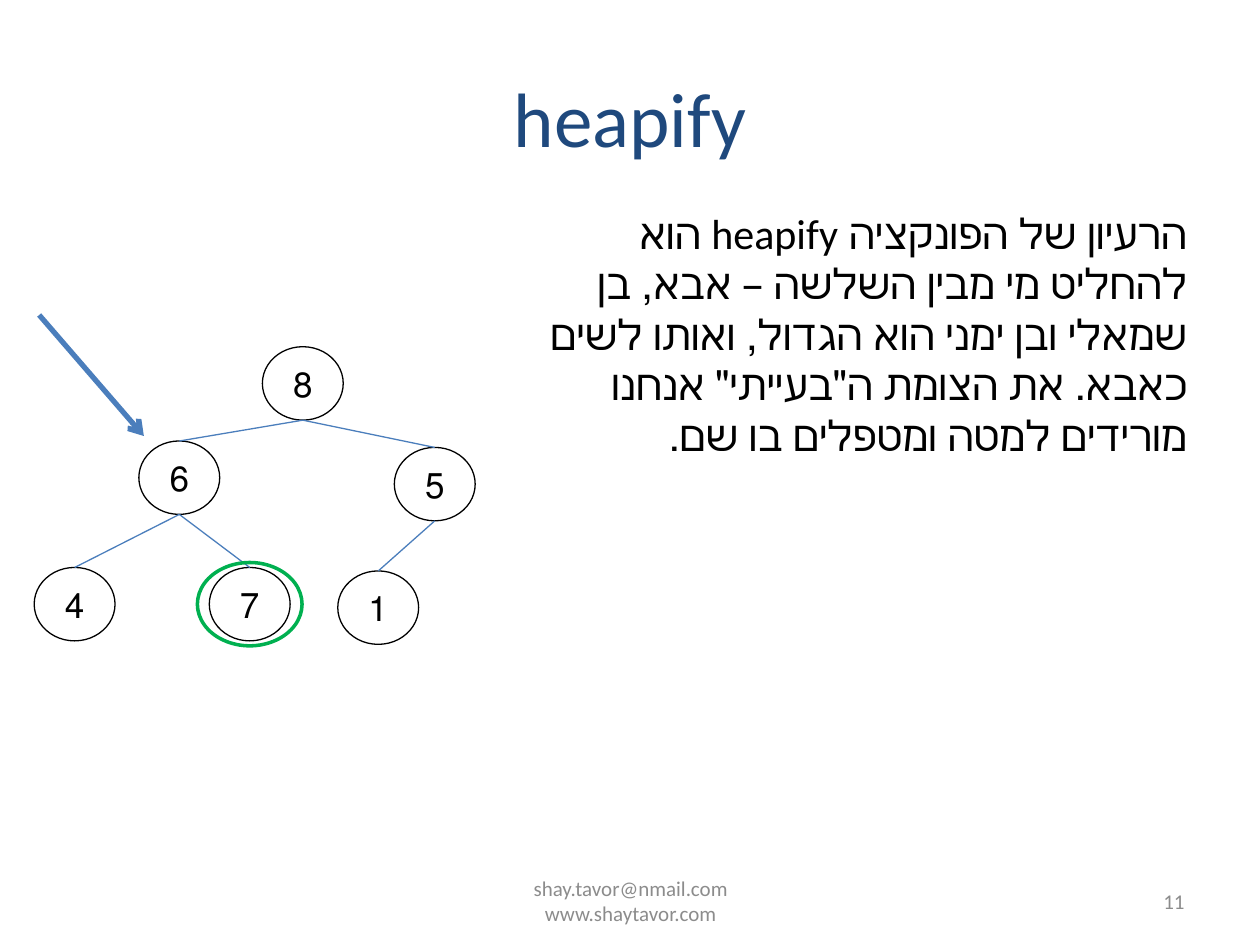
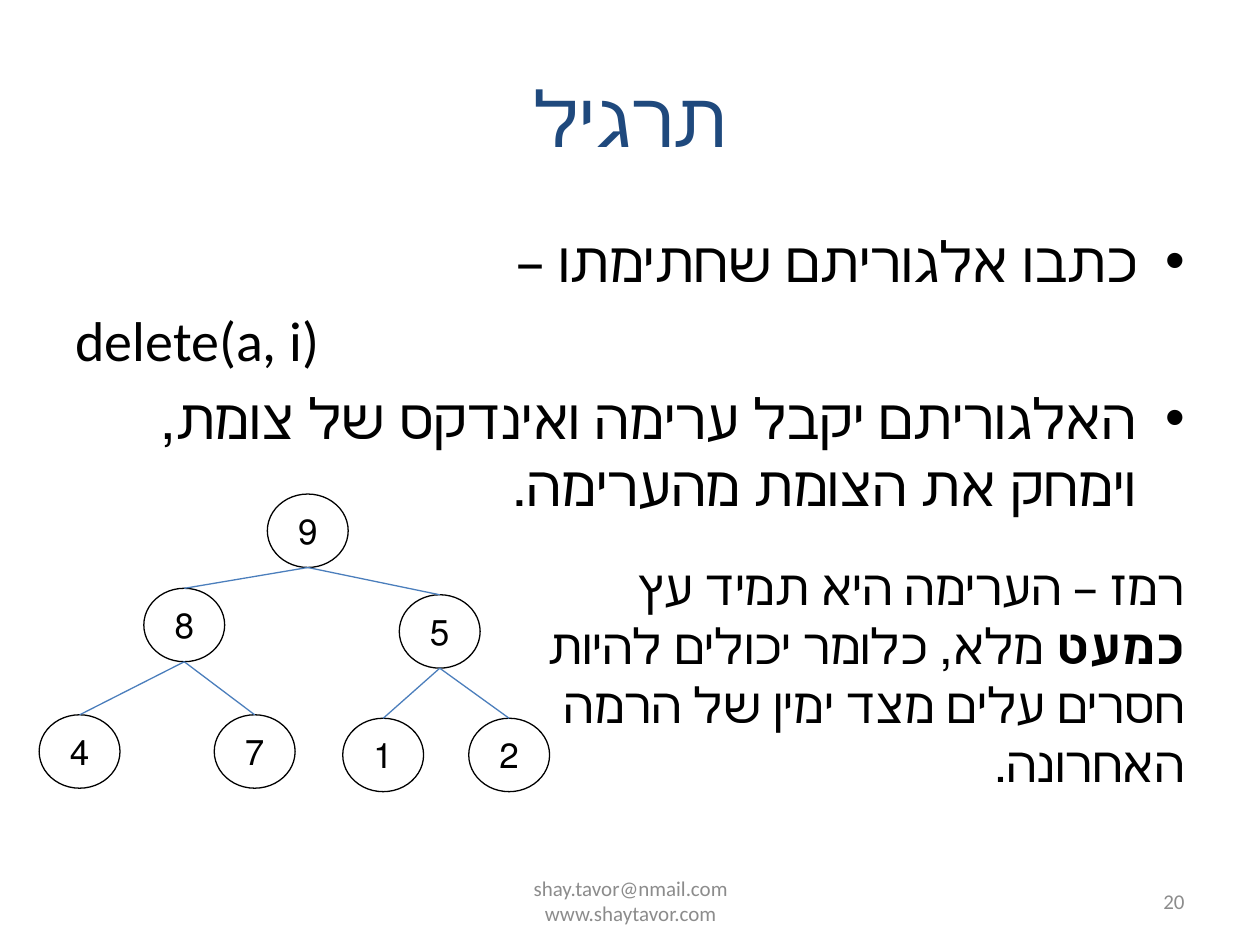
from lxml import etree
from pptx import Presentation
from pptx.dml.color import RGBColor
from pptx.enum.shapes import MSO_CONNECTOR, MSO_SHAPE
from pptx.enum.text import MSO_ANCHOR, MSO_AUTO_SIZE, PP_ALIGN
from pptx.oxml.ns import qn
from pptx.util import Cm, Pt

OVAL, STRAIGHT = MSO_SHAPE.OVAL, MSO_CONNECTOR.STRAIGHT
TOP, MIDDLE = MSO_ANCHOR.TOP, MSO_ANCHOR.MIDDLE
LEFT, CENTER, RIGHT = PP_ALIGN.LEFT, PP_ALIGN.CENTER, PP_ALIGN.RIGHT
GROW = MSO_AUTO_SIZE.SHAPE_TO_FIT_TEXT

COLORS = {"title": "1F497D", "text": "000000", "footer": "8C8C8C",
          "node": "FFFFFF", "edge": "4B7EBC", "ring": "00B050"}
FONT, NODE_FONT = "Calibri", "Arial"

# Content; a paragraph is a list of (text, bold) pieces
CONTACT = [[("shay.tavor@nmail.com", False)], [("www.shaytavor.com", False)]]
HEAPIFY = {
    "title": "heapify", "number": "11", "heap": [8, 6, 5, 4, 7, 1],
    "idea": [[("הרעיון של הפונקציה heapify הוא להחליט מי מבין השלשה – אבא, "
               "בן שמאלי ובן ימני הוא הגדול, ואותו לשים כאבא. את הצומת "
               "ה\"בעייתי\" אנחנו מורידים למטה ומטפלים בו שם.", False)]],
}
EXERCISE = {
    "title": "תרגיל", "number": "20", "heap": [9, 8, 5, 4, 7, 1, 2],
    "task": [[("כתבו אלגוריתם שחתימתו – ", False)],
             [("delete(a, i)", False)],
             [("האלגוריתם יקבל ערימה ואינדקס של צומת, "
               "וימחק את הצומת מהערימה.", False)]],
    "hint": [[("רמז – הערימה היא תמיד עץ ", False), ("כמעט", True),
              (" מלא, כלומר יכולים להיות חסרים עלים מצד ימין של "
               "הרמה האחרונה.", False)]],
}
LARGEST_CHILD = 4  # heap index that heapify picks

# Geometry in centimetres: left, top, width, height
TITLE_BOX = (1.27, 0.76, 22.86, 3.18)
CONTACT_BOX = (8.69, 17.65, 8.05, 1.02)
NUMBER_BOX = (18.21, 17.65, 5.92, 1.02)
IDEA_BOX = (9.88, 4.06, 14.3, 5.38)
TASK_BOX = (1.27, 4.45, 22.86, 6.83)
HINT_BOX = (10.16, 11.1, 13.97, 3.84)
HEAPIFY_TREE, EXERCISE_TREE = (0.69, 6.99), (0.79, 9.96)
POINTER = ((0.79, 6.35), (2.9, 8.79))
NODE_WIDTH, NODE_HEIGHT = 1.63, 1.48
RING_WIDTH, RING_HEIGHT = 2.11, 1.68
# Node offsets from the tree's corner, in heap order
NODE_OFFSETS = [(4.6, 0), (2.11, 1.9), (7.26, 2.03), (0, 4.45),
                (3.53, 4.45), (6.12, 4.52), (8.66, 4.52)]
BULLET_INDENT = 0.95


def color(name):
    """Return the named colour."""
    return RGBColor.from_string(COLORS[name])


def format_runs(paragraph, size, color_name, font=FONT):
    """Give every run of the paragraph one font, size and colour."""
    for run in paragraph.runs:
        run.font.name, run.font.size = font, Pt(size)
        run.font.color.rgb = color(color_name)


def set_rtl(paragraph):
    """Make the paragraph read from right to left."""
    paragraph._p.get_or_add_pPr().set("rtl", "1")


def add_bullet(paragraph):
    """Give the paragraph a round bullet with a hanging indent."""
    properties = paragraph._p.get_or_add_pPr()
    properties.set("marR", "0")
    properties.set("marL", str(Cm(BULLET_INDENT)))
    properties.set("indent", str(-Cm(BULLET_INDENT)))
    font = etree.SubElement(properties, qn("a:buFont"))
    font.set("typeface", "Arial")
    etree.SubElement(properties, qn("a:buChar")).set("char", "•")


def add_text(slide, box, paragraphs, size, align, color_name="text",
             anchor=TOP, rtl=False):
    """Add a wrapped text box and return its text frame."""
    frame = slide.shapes.add_textbox(*map(Cm, box)).text_frame
    frame.word_wrap, frame.vertical_anchor = True, anchor
    for index, pieces in enumerate(paragraphs):
        paragraph = frame.add_paragraph() if index else frame.paragraphs[0]
        paragraph.alignment = align
        for text, bold in pieces:
            run = paragraph.add_run()
            run.text, run.font.bold = text, bold
        format_runs(paragraph, size, color_name)
        if rtl:
            set_rtl(paragraph)
    return frame


def add_slide(presentation, content):
    """Add a slide with its title, contact footer and number."""
    slide = presentation.slides.add_slide(presentation.slide_layouts[5])
    title = slide.shapes.title
    title.left, title.top, title.width, title.height = map(Cm, TITLE_BOX)
    title.text_frame.text = content["title"]
    title.text_frame.vertical_anchor = MIDDLE
    paragraph = title.text_frame.paragraphs[0]
    paragraph.alignment = CENTER
    format_runs(paragraph, 44, "title")
    add_text(slide, CONTACT_BOX, CONTACT, 12, CENTER, "footer", MIDDLE)
    add_text(slide, NUMBER_BOX, [[(content["number"], False)]], 12, RIGHT,
             "footer", MIDDLE)
    return slide


def add_line(slide, start, end, width=0.75, arrow=False):
    """Draw a straight line, with an arrowhead at its end if asked."""
    line = slide.shapes.add_connector(STRAIGHT, *map(Cm, start + end))
    line.line.color.rgb, line.line.width = color("edge"), Pt(width)
    if arrow:
        outline = line.line._get_or_add_ln()
        etree.SubElement(outline, qn("a:tailEnd")).set("type", "arrow")
    etree.SubElement(line._element.spPr, qn("a:effectLst"))


def add_oval(slide, box, line_color, line_width):
    """Draw an unfilled oval without a shadow."""
    oval = slide.shapes.add_shape(OVAL, *map(Cm, box))
    oval.shadow.inherit = False
    oval.fill.background()
    oval.line.color.rgb, oval.line.width = color(line_color), Pt(line_width)
    return oval


def add_node(slide, left, top, value):
    """Draw one heap node with its value."""
    node = add_oval(slide, (left, top, NODE_WIDTH, NODE_HEIGHT), "text", 0.75)
    node.fill.solid()
    node.fill.fore_color.rgb = color("node")
    frame = node.text_frame
    frame.margin_left = frame.margin_right = 0
    frame.margin_top = frame.margin_bottom = 0
    frame.vertical_anchor = MIDDLE
    frame.text = str(value)
    paragraph = frame.paragraphs[0]
    paragraph.alignment = CENTER
    set_rtl(paragraph)
    format_runs(paragraph, 20, "text", NODE_FONT)


def add_heap(slide, corner, values):
    """Draw a heap array as a tree and return the node corners."""
    nodes = [(corner[0] + x, corner[1] + y)
             for x, y in NODE_OFFSETS[:len(values)]]
    for (left, top), value in zip(nodes, values):
        add_node(slide, left, top, value)
    for child in range(1, len(nodes)):
        parent_left, parent_top = nodes[(child - 1) // 2]
        left, top = nodes[child]
        add_line(slide, (parent_left + NODE_WIDTH / 2, parent_top + NODE_HEIGHT),
                 (left + NODE_WIDTH / 2, top))
    return nodes


def build_heapify(presentation):
    """Build the slide that explains heapify."""
    slide = add_slide(presentation, HEAPIFY)
    nodes = add_heap(slide, HEAPIFY_TREE, HEAPIFY["heap"])
    add_line(slide, *POINTER, width=3, arrow=True)
    idea = add_text(slide, IDEA_BOX, HEAPIFY["idea"], 24, RIGHT, rtl=True)
    idea.auto_size = GROW
    left, top = nodes[LARGEST_CHILD]
    ring_left = left - (RING_WIDTH - NODE_WIDTH) / 2
    ring_top = top - (RING_HEIGHT - NODE_HEIGHT) / 2
    add_oval(slide, (ring_left, ring_top, RING_WIDTH, RING_HEIGHT), "ring", 2)


def build_exercise(presentation):
    """Build the exercise slide."""
    slide = add_slide(presentation, EXERCISE)
    task = add_text(slide, TASK_BOX, EXERCISE["task"], 32, RIGHT)
    for index, paragraph in enumerate(task.paragraphs):
        paragraph.space_before = Pt(6.4)
        if index == 1:
            paragraph.alignment = LEFT
        else:
            set_rtl(paragraph)
            add_bullet(paragraph)
    add_heap(slide, EXERCISE_TREE, EXERCISE["heap"])
    hint = add_text(slide, HINT_BOX, EXERCISE["hint"], 28, RIGHT, rtl=True)
    hint.auto_size = GROW


presentation = Presentation()
presentation.slide_width, presentation.slide_height = Cm(25.4), Cm(19.05)
build_heapify(presentation)
build_exercise(presentation)
presentation.save("out.pptx")
